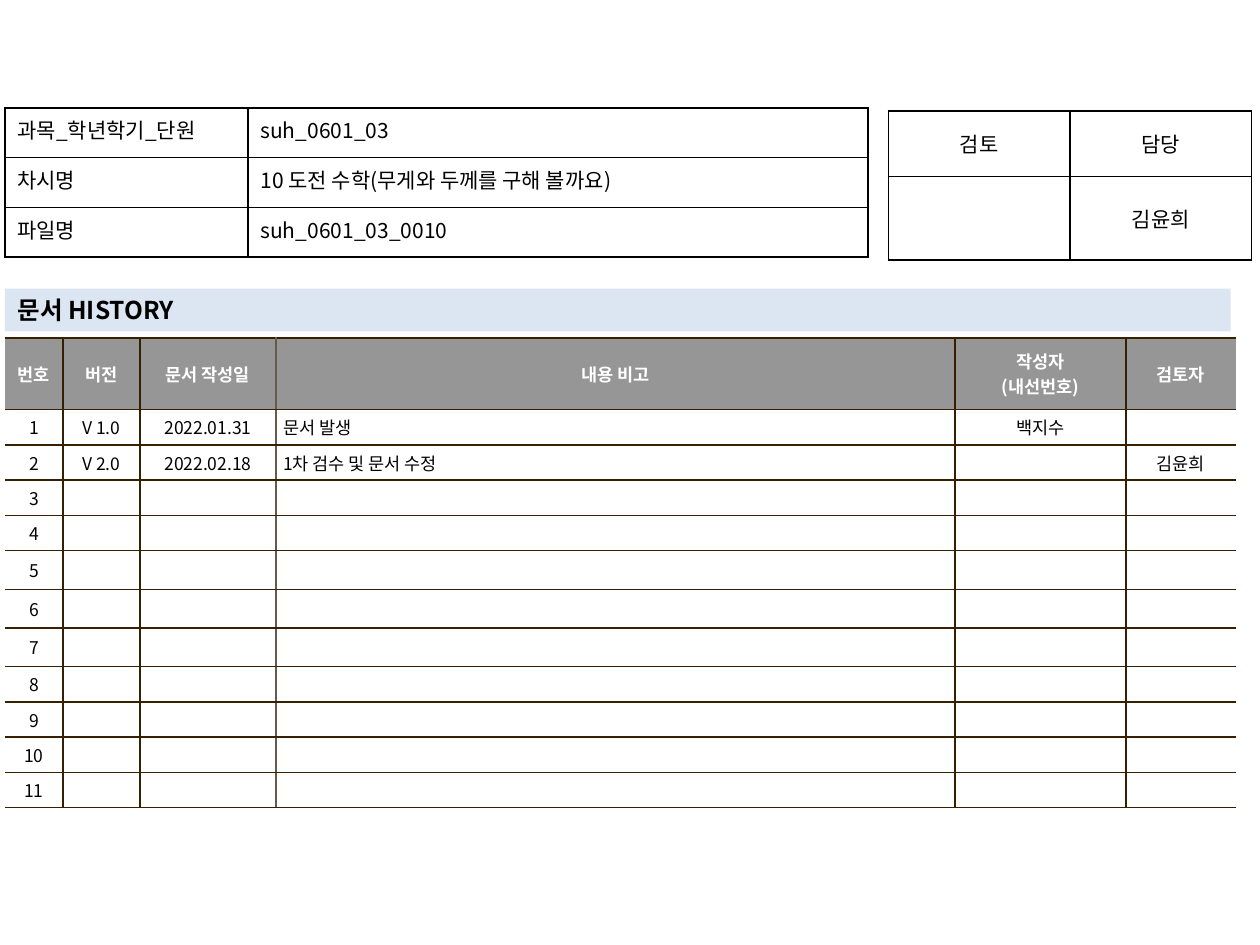
from dataclasses import dataclass
from typing import Optional

from lxml import etree
from pptx import Presentation
from pptx.dml.color import RGBColor
from pptx.enum.text import MSO_ANCHOR, MSO_AUTO_SIZE, PP_ALIGN
from pptx.oxml.ns import qn
from pptx.util import Cm, Pt

FONT = "Noto Sans CJK KR"
BLACK = RGBColor(0x00, 0x00, 0x00)
WHITE = RGBColor(0xFF, 0xFF, 0xFF)
GRAY = RGBColor(0x96, 0x96, 0x96)
PALE_BLUE = RGBColor(0xDC, 0xE6, 0xF2)
BROWN = RGBColor(0x36, 0x20, 0x00)
TAUPE = RGBColor(0x64, 0x5B, 0x4C)
LEFT, CENTER, JUSTIFY = PP_ALIGN.LEFT, PP_ALIGN.CENTER, PP_ALIGN.JUSTIFY
TOP, MIDDLE = MSO_ANCHOR.TOP, MSO_ANCHOR.MIDDLE
NOTE_COL = 3


@dataclass
class TableSpec:
    """Lengths are in centimetres; size is in points."""
    left: float
    top: float
    cols: list[float]
    rows: list[float]
    texts: list[list[str]]
    aligns: list[PP_ALIGN]
    size: int
    anchor: MSO_ANCHOR
    margins: tuple[float, float]
    line: RGBColor


INFO = TableSpec(
    0.1, 2.18, [4.9, 12.5], [1.0] * 3,
    [["과목_학년학기_단원", "suh_0601_03"],
     ["차시명", "10 도전 수학(무게와 두께를 구해 볼까요)"],
     ["파일명", "suh_0601_03_0010"]],
    [JUSTIFY, LEFT], 12, TOP, (0.25, 0.13), BLACK)

REVIEW = TableSpec(
    17.91, 2.24, [3.66] * 2, [1.32, 1.68],
    [["검토", "담당"], ["", "김윤희"]],
    [CENTER] * 2, 12, MIDDLE, (0.25, 0.13), BLACK)

HISTORY = TableSpec(
    0.1, 6.81, [1.17, 1.55, 2.74, 13.69, 3.45, 2.21],
    [1.45] + [0.71] * 4 + [0.78] * 3 + [0.71] * 4,
    [["번호", "버전", "문서 작성일", "내용 비고", "작성자\n(내선번호)", "검토자"],
     ["1", "V 1.0", "2022.01.31", "문서 발생", "백지수", ""],
     ["2", "V 2.0", "2022.02.18", "1차 검수 및 문서 수정", "", "김윤희"]]
    + [[str(n)] + [""] * 5 for n in range(3, 12)],
    [CENTER] * 3 + [LEFT] + [CENTER] * 2, 10, MIDDLE, (0.15, 0.1), BROWN)


def format_paragraph(p, size: int, color: RGBColor, bold: bool, align: PP_ALIGN) -> None:
    p.alignment = align
    p.font.name = FONT
    p.font.size = Pt(size)
    p.font.bold = bold
    p.font.color.rgb = color
    rpr = p._p.pPr.find(qn("a:defRPr"))
    rpr.find(qn("a:latin")).addnext(etree.Element(qn("a:ea"), typeface=FONT))
    if not p.runs:
        etree.SubElement(p._p, qn("a:endParaRPr"), sz=str(size * 100))


def set_border(cell, side: str, color: Optional[RGBColor]) -> None:
    """Draw one side (L, R, T or B) of a cell, or clear it when color is None."""
    ln = etree.SubElement(cell._tc.get_or_add_tcPr(), qn(f"a:ln{side}"), w=str(Pt(1)))
    if color is None:
        etree.SubElement(ln, qn("a:noFill"))
    else:
        fill = etree.SubElement(ln, qn("a:solidFill"))
        etree.SubElement(fill, qn("a:srgbClr"), val=str(color))


def add_grid(s, spec: TableSpec):
    """Add a table with text and margins, leaving borders and fills to the caller."""
    frame = s.shapes.add_table(
        len(spec.rows), len(spec.cols), Cm(spec.left), Cm(spec.top),
        Cm(sum(spec.cols)), Cm(sum(spec.rows)))
    table = frame.table
    table.horz_banding = False
    table.first_row = spec is HISTORY
    for col, width in zip(table.columns, spec.cols):
        col.width = Cm(width)
    for row, height in zip(table.rows, spec.rows):
        row.height = Cm(height)
    for r, texts in enumerate(spec.texts):
        header = table.first_row and r == 0
        for c, text in enumerate(texts):
            cell = table.cell(r, c)
            cell.text = text
            cell.vertical_anchor = spec.anchor
            cell.margin_left = cell.margin_right = Cm(spec.margins[0])
            cell.margin_top = cell.margin_bottom = Cm(spec.margins[1])
            for p in cell.text_frame.paragraphs:
                format_paragraph(p, spec.size, WHITE if header else BLACK, header,
                                 CENTER if header else spec.aligns[c])
    return table


def add_boxed_table(s, spec: TableSpec) -> None:
    for cell in add_grid(s, spec).iter_cells():
        for side in "LRTB":
            set_border(cell, side, spec.line)
        cell.fill.background()


def add_history_table(s, spec: TableSpec) -> None:
    """Add the history table, open at its left and right edges."""
    table = add_grid(s, spec)
    last = len(spec.cols)
    dividers = {0: None, NOTE_COL: TAUPE, last: None}
    for r in range(len(spec.rows)):
        for c in range(last):
            cell = table.cell(r, c)
            set_border(cell, "L", dividers.get(c, spec.line))
            set_border(cell, "R", dividers.get(c + 1, spec.line))
            set_border(cell, "T", spec.line)
            set_border(cell, "B", spec.line)
            cell.fill.solid()
            cell.fill.fore_color.rgb = GRAY if r == 0 else WHITE


def format_title(title) -> None:
    title.left, title.top = Cm(0.1), Cm(5.82)
    title.width, title.height = Cm(24.71), Cm(0.86)
    title.fill.solid()
    title.fill.fore_color.rgb = PALE_BLUE
    tf = title.text_frame
    tf.text = "문서 HISTORY"
    tf.auto_size = MSO_AUTO_SIZE.NONE
    tf.vertical_anchor = MIDDLE
    format_paragraph(tf.paragraphs[0], 14, BLACK, True, LEFT)


def main() -> None:
    prs = Presentation()
    prs.slide_width, prs.slide_height = Cm(25.4), Cm(19.05)
    s = prs.slides.add_slide(prs.slide_layouts[5])
    format_title(s.shapes.title)
    add_history_table(s, HISTORY)
    add_boxed_table(s, REVIEW)
    add_boxed_table(s, INFO)
    prs.save("out.pptx")


if __name__ == "__main__":
    main()
